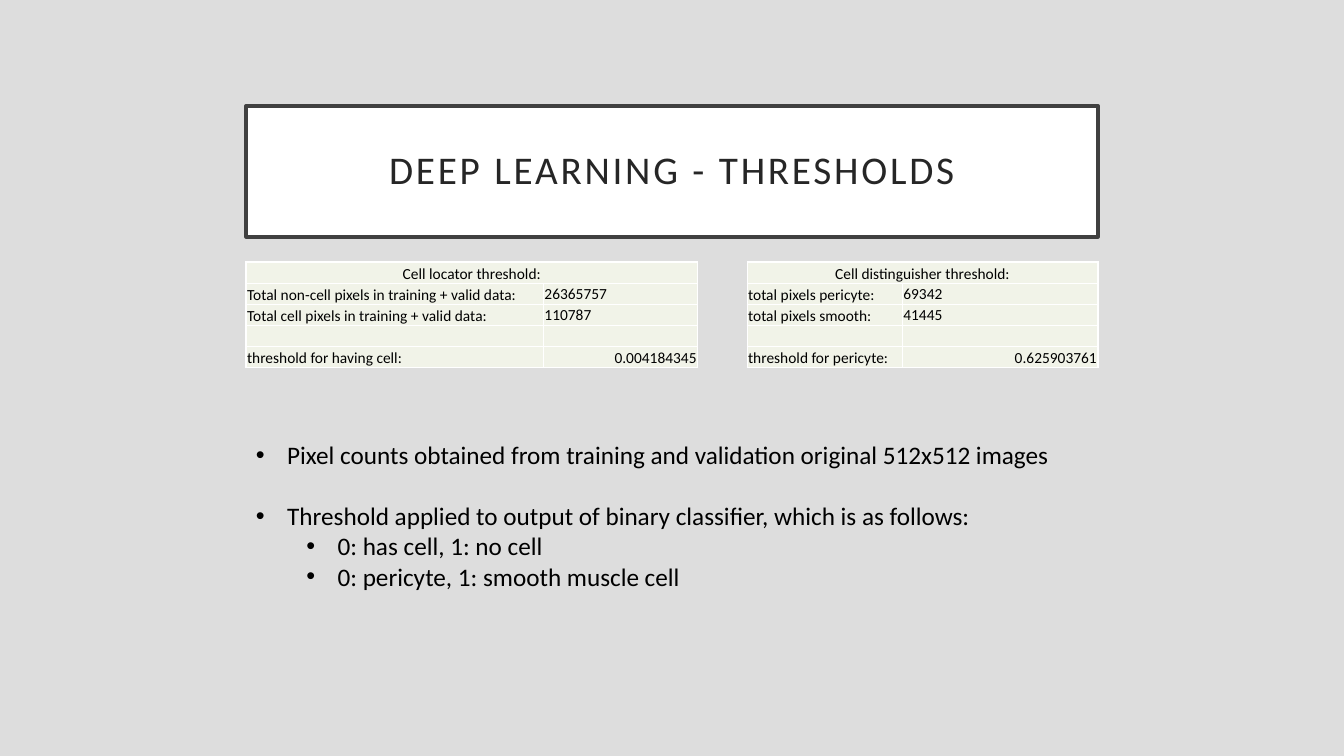
from lxml import etree
from pptx import Presentation
from pptx import util as u
from pptx.dml.color import RGBColor
from pptx.enum import shapes, text
from pptx.oxml.ns import qn

HUES = {"back": "DDDDDD", "white": "FFFFFF", "frame": "404040",
        "title": "262626", "ink": "000000", "cell": "F1F3E8"}
LEFT, WIDTH = 2.44, 8.45
ALIGN = text.PP_ALIGN
ANCHOR = text.MSO_ANCHOR


class Deck:
    font = "Calibri"

    def __init__(self, slide):
        self.slide = slide
        self.paint(slide.background.fill, "back")

    def paint(self, fill, hue):
        fill.solid()
        fill.fore_color.rgb = RGBColor.from_string(HUES[hue])

    def run(self, para, words, size, hue="ink"):
        run = para.add_run()
        run.text = words
        run.font.size = u.Pt(size)
        run.font.name = self.font
        self.paint(run.font.fill, hue)
        return run

    def title(self, words, top, high):
        box = self.slide.shapes.add_shape(
            shapes.MSO_SHAPE.RECTANGLE, u.Inches(LEFT), u.Inches(top),
            u.Inches(WIDTH), u.Inches(high))
        box.shadow.inherit = False
        self.paint(box.fill, "white")
        self.paint(box.line.fill, "frame")
        box.line.width = u.Pt(2.5)
        frame = box.text_frame
        frame.word_wrap = True
        frame.vertical_anchor = ANCHOR.MIDDLE
        para = frame.paragraphs[0]
        para.alignment = ALIGN.CENTER
        para.line_spacing = 0.9
        run = self.run(para, words, 28, "title")
        run.font._element.set("spc", "200")

    def edge(self, cell):
        props = cell._tc.get_or_add_tcPr()
        for side in ("lnL", "lnR", "lnT", "lnB"):
            line = etree.SubElement(props, qn("a:" + side), w=str(u.Pt(1)))
            fill = etree.SubElement(line, qn("a:solidFill"))
            etree.SubElement(fill, qn("a:srgbClr"), val=HUES["white"])

    def cell(self, cell, words, align, anchor):
        self.edge(cell)
        self.paint(cell.fill, "cell")
        cell.margin_left = cell.margin_right = cell.margin_top = u.Inches(0.01)
        cell.margin_bottom = 0
        cell.vertical_anchor = anchor
        para = cell.text_frame.paragraphs[0]
        para.alignment = align
        if words:
            self.run(para, words, 11)
        else:
            etree.SubElement(para._p, qn("a:endParaRPr"), sz="1100")

    def table(self, left, top, wides, rows, high=0.21):
        grid = self.slide.shapes.add_table(
            len(rows), len(wides), u.Inches(left), u.Inches(top),
            u.Inches(sum(wides)), u.Inches(high * len(rows))).table
        grid.first_row = grid.horz_banding = False
        for col, wide in zip(grid.columns, wides):
            col.width = u.Inches(wide)
        last = len(rows) - 1
        for r, row in enumerate(rows):
            grid.rows[r].height = u.Inches(high)
            for c, words in enumerate(row):
                align, anchor = ALIGN.LEFT, ANCHOR.BOTTOM
                if r == 0:
                    align = ALIGN.CENTER
                elif c == 1 and r == last:
                    align = ALIGN.RIGHT
                elif c == 1:
                    anchor = ANCHOR.MIDDLE
                self.cell(grid.cell(r, c), words, align, anchor)
        grid.cell(0, 0).merge(grid.cell(0, 1))

    def list(self, top, high, items):
        box = self.slide.shapes.add_textbox(
            u.Inches(LEFT), u.Inches(top), u.Inches(WIDTH), u.Inches(high))
        frame = box.text_frame
        frame.word_wrap = True
        for i, (level, gap, words) in enumerate(items):
            para = frame.add_paragraph() if i else frame.paragraphs[0]
            para.level = level
            para.space_before = u.Pt(gap)
            props = para._p.get_or_add_pPr()
            props.set("marL", str(u.Inches(0.31 + 0.5 * level)))
            props.set("indent", str(u.Inches(-0.31)))
            etree.SubElement(props, qn("a:buFont"), typeface="Arial")
            etree.SubElement(props, qn("a:buChar"), char="•")
            self.run(para, words, 18)


def main():
    show = Presentation()
    show.slide_width, show.slide_height = u.Inches(13.33), u.Inches(7.5)
    deck = Deck(show.slides.add_slide(show.slide_layouts[6]))
    deck.title("DEEP LEARNING - THRESHOLDS", 1.05, 1.3)
    deck.table(LEFT, 2.6, (2.95, 1.53), [
        ("Cell locator threshold:", ""),
        ("Total non-cell pixels in training + valid data:", "26365757"),
        ("Total cell pixels in training + valid data:", "110787"),
        ("", ""),
        ("threshold for having cell:", "0.004184345")])
    deck.table(7.41, 2.6, (1.54, 1.94), [
        ("Cell distinguisher threshold:", ""),
        ("total pixels pericyte:", "69342"),
        ("total pixels smooth:", "41445"),
        ("", ""),
        ("threshold for pericyte:", "0.625903761")])
    deck.list(4.31, 1.62, [
        (0, 0, "Pixel counts obtained from training and validation "
               "original 512x512 images"),
        (0, 22, "Threshold applied to output of binary classifier, "
                "which is as follows:"),
        (1, 0, "0: has cell, 1: no cell"),
        (1, 0, "0: pericyte, 1: smooth muscle cell")])
    show.save("out.pptx")


if __name__ == "__main__":
    main()
